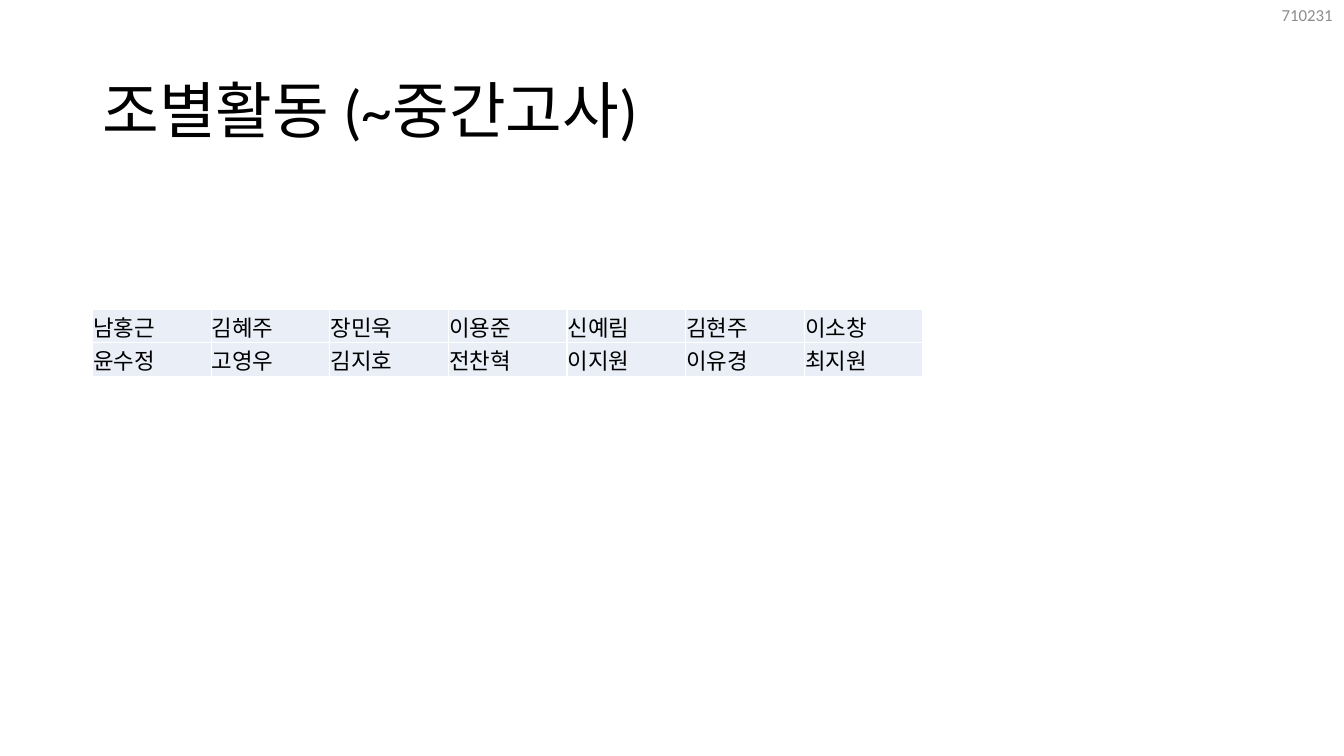
import pptx
import pptx.util
import pptx.dml.color
import pptx.enum.text
import pptx.oxml.ns
from lxml import etree
from pptx.util import Cm

COLOURS = {"text": "000000", "code": "8C8C8C", "cell": "EAEFF7", "border": "FFFFFF"}
LATIN_FONT = "Calibri"
KOREAN_FONT = "Noto Sans CJK KR"
COLUMN_WIDTH = Cm(2.99)
ROW_HEIGHT = Cm(0.84)
MEMBERS = [
    ["남홍근", "김혜주", "장민욱", "이용준", "신예림", "김현주", "이소창"],
    ["윤수정", "고영우", "김지호", "전찬혁", "이지원", "이유경", "최지원"],
]


def rgb(name):
    return pptx.dml.color.RGBColor.from_string(COLOURS[name])


def format_para(para, size, font, colour):
    para.font.size = pptx.util.Pt(size)
    para.font.color.rgb = rgb(colour)
    para.font.name = font
    # Korean glyphs take the East Asian typeface
    latin = para._p.pPr.find(".//" + pptx.oxml.ns.qn("a:latin"))
    east_asian = etree.Element(pptx.oxml.ns.qn("a:ea"), typeface=KOREAN_FONT)
    latin.addnext(east_asian)


def add_title(page, text):
    title = page.shapes.title
    title.left, title.top, title.width, title.height = Cm(2.33), Cm(1.01), Cm(29.21), Cm(3.68)
    frame = title.text_frame
    frame.text = text
    frame.vertical_anchor = pptx.enum.text.MSO_ANCHOR.MIDDLE
    para = frame.paragraphs[0]
    para.alignment = pptx.enum.text.PP_ALIGN.LEFT
    para.line_spacing = 0.9
    format_para(para, 44, LATIN_FONT, "text")


def add_code(page, text):
    box = page.shapes.add_textbox(Cm(32.05), Cm(0), Cm(1.82), Cm(0.77))
    frame = box.text_frame
    frame.word_wrap = False
    frame.auto_size = pptx.enum.text.MSO_AUTO_SIZE.SHAPE_TO_FIT_TEXT
    frame.text = text
    format_para(frame.paragraphs[0], 12, LATIN_FONT, "code")


def add_borders(cell):
    properties = cell._tc.get_or_add_tcPr()
    for side in ("lnL", "lnR", "lnT", "lnB"):
        line = etree.SubElement(properties, pptx.oxml.ns.qn("a:" + side), w="12700")
        fill = etree.SubElement(line, pptx.oxml.ns.qn("a:solidFill"))
        etree.SubElement(fill, pptx.oxml.ns.qn("a:srgbClr"), val=COLOURS["border"])


def format_cell(cell, text):
    cell.text = text
    cell.margin_left = cell.margin_top = cell.margin_right = Cm(0.02)
    cell.margin_bottom = Cm(0)
    cell.vertical_anchor = pptx.enum.text.MSO_ANCHOR.MIDDLE
    add_borders(cell)
    cell.fill.solid()
    cell.fill.fore_color.rgb = rgb("cell")
    format_para(cell.text_frame.paragraphs[0], 16, KOREAN_FONT, "text")


def add_member_table(page, rows):
    column_count = len(rows[0])
    table = page.shapes.add_table(
        len(rows), column_count, Cm(2.33), Cm(7.8),
        COLUMN_WIDTH * column_count, ROW_HEIGHT * len(rows),
    ).table
    table.first_row = False
    table.horz_banding = False
    for column in table.columns:
        column.width = COLUMN_WIDTH
    for row, names in zip(table.rows, rows):
        row.height = ROW_HEIGHT
        for cell, name in zip(row.cells, names):
            format_cell(cell, name)


def main():
    deck = pptx.Presentation()
    deck.slide_width, deck.slide_height = Cm(33.87), Cm(19.05)
    page = deck.slides.add_slide(deck.slide_layouts[5])

    # Code in the corner, heading, group members
    add_code(page, "710231")
    add_title(page, "조별활동 (~중간고사)")
    add_member_table(page, MEMBERS)

    deck.save("out.pptx")


if __name__ == "__main__":
    main()
